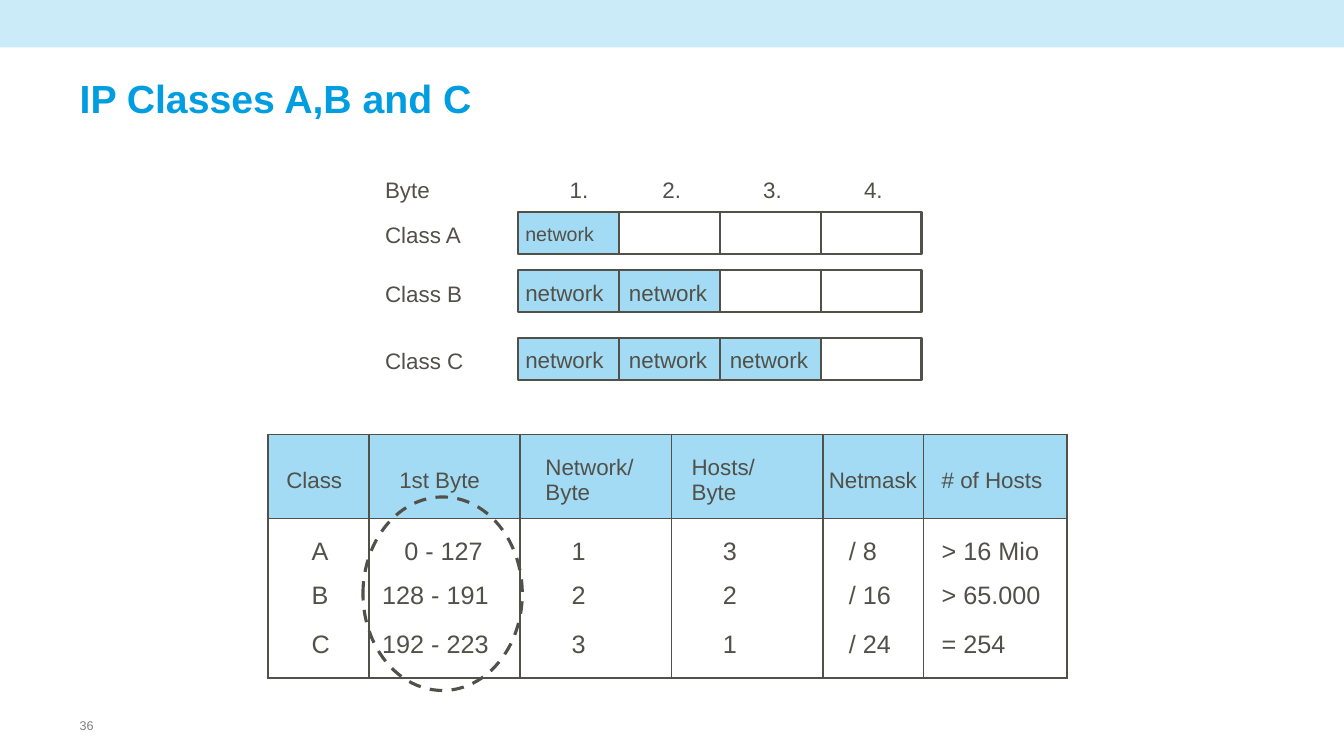
import pptx
import pptx.dml.color
import pptx.enum.dml
import pptx.enum.shapes
import pptx.enum.text
import pptx.oxml
import pptx.oxml.ns
import pptx.util

PX = 9144  # EMU per px, 100 px to the inch
RGB = pptx.dml.color.RGBColor
SHAPE = pptx.enum.shapes.MSO_SHAPE
ANCHOR = pptx.enum.text.MSO_ANCHOR

PALE = RGB(0xCC, 0xEB, 0xF9)
SKY = RGB(0xA3, 0xDB, 0xF4)
WHITE = RGB(0xFF, 0xFF, 0xFF)
INK = RGB(0x51, 0x50, 0x49)
BLUE = RGB(0x00, 0x9D, 0xE0)
GRAY = RGB(0x80, 0x80, 0x80)


def px(n):
    return pptx.util.Emu(n * PX)


def write(tf, text, size=16, color=INK, bold=False, spacing=None):
    for i, line in enumerate(text.split("\n")):
        p = tf.paragraphs[0] if i == 0 else tf.add_paragraph()
        p.alignment = pptx.enum.text.PP_ALIGN.LEFT
        if spacing:
            p.line_spacing = spacing
        r = p.add_run()
        r.text = line
        r.font.name = "Arial"
        r.font.size = pptx.util.Pt(size)
        r.font.bold = bold
        r.font.color.rgb = color


def set_margins(target, left, top=0, right=0, bottom=0):
    target.margin_left, target.margin_top = px(left), px(top)
    target.margin_right, target.margin_bottom = px(right), px(bottom)


def add_text(slide, x, y, w, h, text, wrap=True, **fmt):
    tf = slide.shapes.add_textbox(px(x), px(y), px(w), px(h)).text_frame
    tf.word_wrap = wrap
    tf.vertical_anchor = ANCHOR.MIDDLE
    set_margins(tf, 0)
    write(tf, text, **fmt)


def add_box(slide, kind, x, y, w, h, fill=None, line=None, dash=None):
    """Preset shape; fill None is hollow, line is a width in points."""
    sp = slide.shapes.add_shape(kind, px(x), px(y), px(w), px(h))
    sp.shadow.inherit = False
    if fill is None:
        sp.fill.background()
    else:
        sp.fill.solid()
        sp.fill.fore_color.rgb = fill
    if line is None:
        sp.line.fill.background()
    else:
        sp.line.color.rgb = INK
        sp.line.width = pptx.util.Pt(line)
        if dash:
            sp.line.dash_style = dash
    return sp


def set_borders(cell, **widths):
    """Border widths in points by side L, R, T, B; 0 hides the side."""
    tcPr = cell._tc.get_or_add_tcPr()
    for i, side in enumerate("LRTB"):
        width = widths[side]
        paint = (f'<a:solidFill><a:srgbClr val="{INK}"/></a:solidFill>'
                 if width else "<a:noFill/>")
        tcPr.insert(i, pptx.oxml.parse_xml(
            f'<a:ln{side} {pptx.oxml.ns.nsdecls("a")} '
            f'w="{int(width * 12700)}">{paint}</a:ln{side}>'))


def frame(slide, w):
    add_box(slide, SHAPE.RECTANGLE, 0, 0, w, 47, fill=PALE)
    add_text(slide, 79, 59, 1181, 83, "IP Classes A,B and C",
             size=28, color=BLUE, bold=True, spacing=0.85)
    add_text(slide, 79, 712, 15, 15, "36", wrap=False, size=9, color=GRAY)


def byte_diagram(slide, x, y):
    """Four bytes per address, with the network bytes of each class filled."""
    cell_w, cell_h, cells_x = 100, 42, x + 132
    add_text(slide, x, y, 130, 56, "Byte")
    for i in range(4):
        inset = 51 if i == 0 else 43
        add_text(slide, cells_x + i * cell_w + inset, y, 40, 56, f"{i + 1}.")

    rows = [("A", 50, 14), ("B", 108, 16), ("C", 175, 16)]
    for network_bytes, (name, dy, size) in enumerate(rows, 1):
        add_text(slide, x, y + dy - 5, 130, 56, f"Class {name}")
        for i in range(4):
            is_network = i < network_bytes
            sp = add_box(slide, SHAPE.RECTANGLE, cells_x + i * cell_w, y + dy,
                         cell_w, cell_h, SKY if is_network else WHITE, 1.5)
            if is_network:
                tf = sp.text_frame
                tf.word_wrap = False
                tf.vertical_anchor = ANCHOR.MIDDLE
                set_margins(tf, 7 if i == 0 else 10, top=2)
                write(tf, "network", size=size)


def class_table(slide, x, y):
    rows = [
        ("Class", "1st Byte", "Network/\nByte", "Hosts/\nByte", "Netmask",
         "# of Hosts"),
        ("A", "0 - 127", "1", "3", "/ 8", "> 16 Mio"),
        ("B", "128 - 191", "2", "2", "/ 16", "> 65.000"),
        ("C", "192 - 223", "3", "1", "/ 24", "= 254"),
    ]
    widths = [100, 150, 150, 150, 100, 142]
    heights = [83, 54, 46, 59]
    head_insets = [18, 30, 25, 20, 6, 18]
    body_insets = [43, 13, 51, 51, 26, 18]
    pads = [(8, 0), (13, 0), (0, 0), (0, 8)]  # top, bottom

    table = slide.shapes.add_table(len(rows), len(widths), px(x), px(y),
                                   px(sum(widths)), px(sum(heights))).table
    table.first_row = table.horz_banding = False
    for col, w in zip(table.columns, widths):
        col.width = px(w)
    for i, (row, h) in enumerate(zip(rows, heights)):
        table.rows[i].height = px(h)
        head, last = i == 0, i == len(rows) - 1
        for j, text in enumerate(row):
            cell = table.cell(i, j)
            cell.fill.solid()
            cell.fill.fore_color.rgb = SKY if head else WHITE
            cell.vertical_anchor = ANCHOR.MIDDLE
            inset = (head_insets if head else body_insets)[j]
            if text == "0 - 127":
                inset += 22
            set_margins(cell, inset, top=pads[i][0], bottom=pads[i][1])
            write(cell.text_frame, text, size=16 if head else 18)
            set_borders(cell, L=1.5, R=1.5,
                        T=1.5 if head else 0.75 if i == 1 else 0,
                        B=0.75 if head else 1.5 if last else 0)

    add_box(slide, SHAPE.OVAL, x + 94, y + 62, 158, 192, line=2.25,
            dash=pptx.enum.dml.MSO_LINE.DASH)


def main():
    prs = pptx.Presentation()
    prs.slide_width, prs.slide_height = px(1333), px(750)
    slide = prs.slides.add_slide(prs.slide_layouts[6])
    frame(slide, 1333)
    class_table(slide, 266, 431)
    byte_diagram(slide, 382, 160)
    prs.save("out.pptx")


if __name__ == "__main__":
    main()
